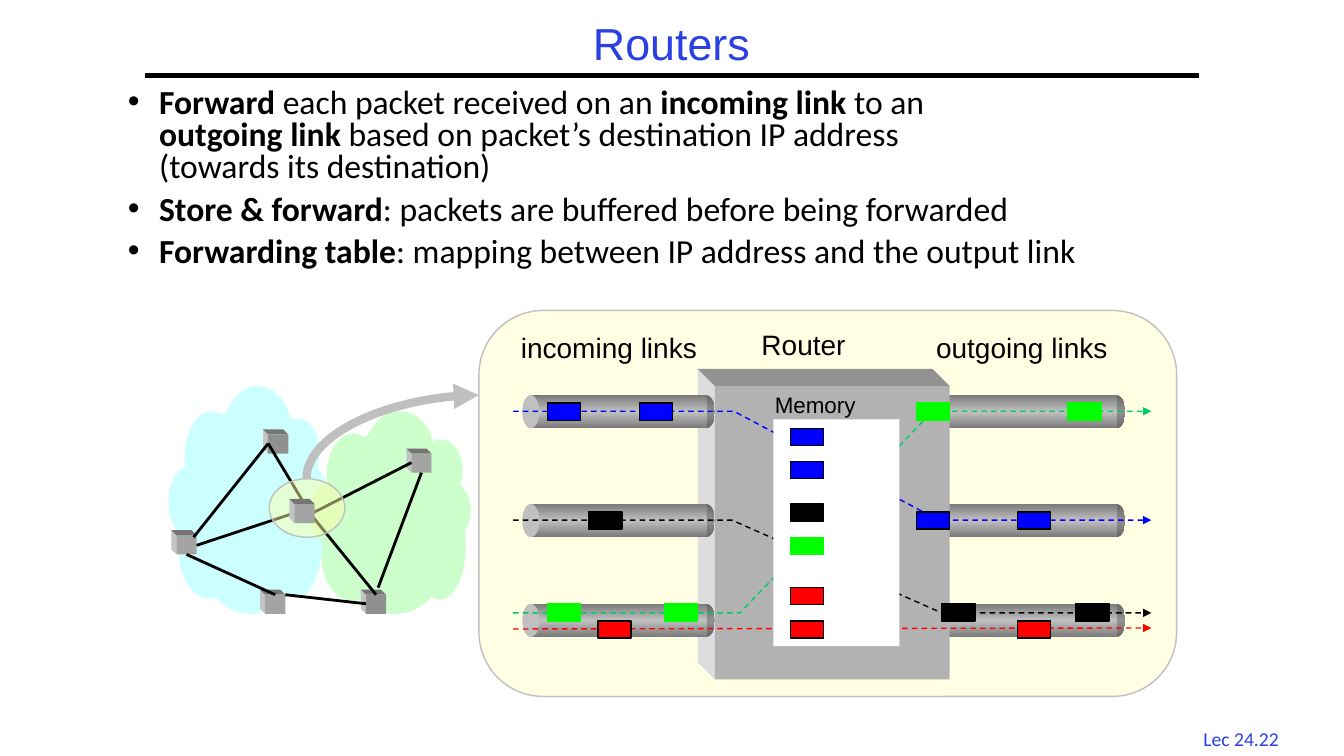
from copy import deepcopy

from lxml.etree import SubElement
from pptx import Presentation
from pptx.dml.color import RGBColor
from pptx.enum.dml import MSO_LINE
from pptx.enum.shapes import MSO_CONNECTOR, MSO_SHAPE
from pptx.enum.text import MSO_ANCHOR, PP_ALIGN
from pptx.oxml.ns import qn
from pptx.util import Inches, Pt

COLORS = {
    "accent": "2A40E2", "black": "000000", "white": "FFFFFF", "panel": "FFFFAA",
    "border": "BFBFBF", "blue": "0000FF", "lime": "00FF00", "green": "00CC66",
    "red": "FF0000", "west": "CCFFFF", "east": "CCFFCC", "pipe": "C0C0C0",
    "pipe_dark": "7A7A7A", "cap": "919191", "cap_dark": "676767",
    "front": "B2B2B2", "side": "DDDDDD", "top": "919191",
    "node": "A4A4A4", "node_dark": "909090", "node_side": "C4C4C4", "node_top": "757575",
}


def rgb(name):
    return RGBColor.from_string(COLORS[name])


def write_text(p, text, *, size, font="Arial", color="black", align=PP_ALIGN.LEFT, spacing=None):
    """Fill a paragraph; ** switches bold on and off, a newline breaks the line."""
    p.alignment = align
    if spacing:
        p.line_spacing = spacing
    for i, part in enumerate(text.split("**")):
        for j, piece in enumerate(part.split("\n")):
            if j:
                p.add_line_break()
            if piece:
                r = p.add_run()
                r.text = piece
                r.font.name, r.font.size, r.font.bold = font, Pt(size), i % 2 == 1
                r.font.color.rgb = rgb(color)


class SlideBuilder:
    def __init__(self, s):
        self.s = s

    def textbox(self, x, y, w, h, texts, *, inset=True, wrap=False, bullets=False,
                anchor=MSO_ANCHOR.TOP, **fmt):
        tf = self.s.shapes.add_textbox(Inches(x), Inches(y), Inches(w), Inches(h)).text_frame
        tf.word_wrap, tf.vertical_anchor = wrap, anchor
        if not inset:
            tf.margin_left = tf.margin_right = tf.margin_top = tf.margin_bottom = 0
        for i, text in enumerate(texts):
            p = tf.add_paragraph() if i else tf.paragraphs[0]
            write_text(p, text, **fmt)
            if bullets:
                p.space_before = Pt(7.2)
                pPr = p._p.get_or_add_pPr()
                pPr.set("marL", str(Inches(0.31)))
                pPr.set("indent", str(-Inches(0.31)))
                SubElement(pPr, qn("a:buFont")).set("typeface", "Arial")
                SubElement(pPr, qn("a:buChar")).set("char", "•")

    def paint(self, sp, fill=None, line=None, alpha=None):
        sp.shadow.inherit = False
        if fill:
            sp.fill.solid()
            sp.fill.fore_color.rgb = rgb(fill)
        else:
            sp.fill.background()
        if alpha:
            clr = sp._element.spPr.find(qn("a:solidFill"))[0]
            SubElement(clr, qn("a:alpha")).set("val", str(alpha * 1000))
        if line:
            self.stroke(sp, line, 1)
        else:
            sp.line.fill.background()
        return sp

    def stroke(self, sp, color, width, dash=False, arrow=None):
        """Style a line; arrow is None, headEnd or tailEnd."""
        sp.line.color.rgb, sp.line.width = rgb(color), Pt(width)
        if dash:
            sp.line.dash_style = MSO_LINE.DASH
        if arrow:
            ln = sp._element.spPr.find(qn("a:ln"))
            SubElement(ln, qn(f"a:{arrow}")).set("type", "triangle")

    def shape(self, kind, x, y, w, h, fill, line=None, alpha=None):
        sp = self.s.shapes.add_shape(kind, Inches(x), Inches(y), Inches(w), Inches(h))
        return self.paint(sp, fill, line, alpha)

    def gradient(self, kind, x, y, w, h, edge, middle):
        sp = self.shape(kind, x, y, w, h, middle)
        sp.fill.gradient()
        sp.fill.gradient_angle = 90
        stops = sp._element.spPr.find(qn("a:gradFill")).find(qn("a:gsLst"))
        stops.append(deepcopy(stops[0]))
        for stop, pos, color in zip(sp.fill.gradient_stops, (0, 0.5, 1), (edge, middle, edge)):
            stop.position, stop.color.rgb = pos, rgb(color)

    def outline(self, points, closed):
        pts = [(Inches(x), Inches(y)) for x, y in points]
        fb = self.s.shapes.build_freeform(*pts[0])
        fb.add_line_segments(pts[1:], close=closed)
        return fb.convert_to_shape()

    def connector(self, a, b, color, width, kind=MSO_CONNECTOR.STRAIGHT, **style):
        c = self.s.shapes.add_connector(kind, *map(Inches, (*a, *b)))
        self.stroke(c, color, width, **style)
        SubElement(c._element.spPr, qn("a:effectLst"))
        return c

    def route(self, points, color):
        sp = self.paint(self.outline(points, False))
        self.stroke(sp, color, 1, dash=True, arrow="tailEnd")

    def pipe(self, x, y):
        self.gradient(MSO_SHAPE.OVAL, x + 1.74, y, 0.17, 0.33, "cap_dark", "cap")
        self.gradient(MSO_SHAPE.RECTANGLE, x + 0.08, y, 1.75, 0.33, "pipe_dark", "pipe")
        self.shape(MSO_SHAPE.OVAL, x, y, 0.17, 0.33, "pipe")

    def box3d(self, x, y, w, h, depth, front, side, top):
        """Block seen with its left and top faces."""
        left, up = x - depth, y - depth
        self.paint(self.outline([(x, y), (left, up), (left, y + h - depth), (x, y + h)], True), side)
        self.paint(self.outline([(x, y), (left, up), (x + w - depth, up), (x + w, y)], True), top)
        self.shape(MSO_SHAPE.RECTANGLE, x, y, w, h, front)

    def node(self, x, y, front="node"):
        self.box3d(x, y, 0.2, 0.19, 0.05, front, "node_side", "node_top")

    def cloud(self, puffs, color):
        for puff in puffs:
            self.shape(MSO_SHAPE.OVAL, *puff, color)


PIPE_ROWS = (3.92, 5, 5.99)
ROUTES = [
    ("green", [(5.09, 6.08), (7.34, 6.08), (9.25, 4.08), (11.42, 4.08)]),
    ("blue", [(5.09, 4.08), (7.28, 4.08), (9.31, 5.16), (11.42, 5.16)]),
    ("black", [(5.09, 5.16), (7.26, 5.16), (9.34, 6.08), (11.42, 6.08)]),
]
PACKETS = {
    "blue": [(5.43, 4), (6.34, 4), (7.84, 4.25), (7.84, 4.58), (9.09, 5.08), (10.09, 5.08)],
    "black": [(5.84, 5.08), (7.84, 5), (9.34, 5.99), (10.67, 5.99)],
    "lime": [(5.43, 5.99), (6.59, 5.99), (7.84, 5.33), (9.09, 4), (10.59, 4)],
    "red": [(5.93, 6.16), (7.84, 6.16), (7.84, 5.83), (10.09, 6.16)],
}
WEST_CLOUD = [
    (2.21, 3.83, 0.69, 0.93), (1.83, 4.08, 0.53, 0.93), (1.67, 4.64, 0.36, 0.67),
    (1.77, 4.97, 0.61, 0.97), (2.02, 5.11, 0.94, 0.98), (2.74, 4.15, 0.43, 0.69),
    (2.74, 4.57, 0.51, 0.73), (2.69, 4.73, 0.51, 1.2), (1.78, 4.03, 1.4, 2.02),
]
EAST_CLOUD = [
    (3.62, 4.08, 0.69, 0.83), (3.24, 4.3, 0.53, 0.83), (3.08, 4.8, 0.36, 0.6),
    (3.19, 5.1, 0.61, 0.86), (3.44, 5.22, 0.94, 0.87), (4.16, 4.36, 0.43, 0.61),
    (4.16, 4.74, 0.51, 0.65), (4.11, 4.88, 0.51, 1.07), (3.19, 4.26, 1.4, 1.79),
]
NODES = [(4.08, 4.5), (3.63, 5.9, "node_dark"), (2.66, 4.31, "node_dark"), (1.75, 5.31), (2.63, 5.9)]
NETWORK_LINKS = [
    ((3.08, 5.1), (3.73, 5.9)), ((3.02, 5), (2.66, 4.4)), ((3.08, 5.1), (4.08, 4.59)),
    ((1.92, 5.33), (2.66, 4.4)), ((1.85, 5.5), (2.73, 5.9)), ((1.95, 5.41), (2.92, 5.09)),
    ((2.83, 5.9), (3.63, 5.99)), ((3.75, 5.83), (4.18, 4.69)),
]
BULLETS = [
    "**Forward** each packet received on an **incoming link **to an \n"
    "**outgoing link **based on packet’s destination IP address \n(towards its destination)",
    "**Store & forward**: packets are buffered before being forwarded",
    "**Forwarding table**: mapping between IP address and the output link",
]


def add_header(b):
    center = PP_ALIGN.CENTER
    b.textbox(11.77, 7.16, 1.08, 0.33, ["Lec 24.22"], size=14, font="Calibri",
              color="accent", align=center)
    b.connector((1.44, 0.75), (11.89, 0.75), "black", 3)
    b.textbox(1.44, 0.17, 10.44, 0.58, ["Routers"], wrap=True, anchor=MSO_ANCHOR.MIDDLE,
              size=32, color="accent", align=center, spacing=0.9)
    b.textbox(1.17, 0.83, 11, 2.01, BULLETS, wrap=True, bullets=True, size=24,
              font="Calibri", spacing=0.8)


def add_router(b):
    label = {"inset": False, "size": 20, "align": PP_ALIGN.CENTER}
    b.shape(MSO_SHAPE.ROUNDED_RECTANGLE, 4.75, 3.08, 6.92, 3.83, "panel", "border", 32)
    for y in PIPE_ROWS:
        b.pipe(9.25, y)
    b.box3d(7.09, 3.83, 2.33, 2.91, 0.17, "front", "side", "top")
    for y in PIPE_ROWS:
        b.pipe(5.18, y)
    b.textbox(5.16, 3.28, 1.76, 0.34, ["incoming links"], **label)
    b.textbox(9.28, 3.28, 1.71, 0.34, ["outgoing links"], **label)
    b.textbox(7.55, 3.25, 0.84, 0.34, ["Router"], **label)
    b.connector((5.09, 6.24), (11.42, 6.23), "red", 1, dash=True, arrow="tailEnd")
    for color, points in ROUTES:
        b.route(points, color)
    b.shape(MSO_SHAPE.RECTANGLE, 7.67, 4.16, 1.25, 2.25, "white")
    for color, spots in PACKETS.items():
        for x, y in spots:
            b.shape(MSO_SHAPE.RECTANGLE, x, y, 0.33, 0.17, color,
                    "lime" if color == "lime" else "black")
    b.textbox(7.58, 3.83, 1.01, 0.37, ["Memory"], size=16, align=PP_ALIGN.CENTER)


def add_network(b):
    b.cloud(WEST_CLOUD, "west")
    b.cloud(EAST_CLOUD, "east")
    for node in NODES:
        b.node(*node)
    for start, end in NETWORK_LINKS:
        b.connector(start, end, "black", 2)
    b.shape(MSO_SHAPE.OVAL, 2.67, 4.75, 0.75, 0.58, "panel", "border", 49)
    b.node(2.92, 5)
    zoom = b.connector((4.75, 3.92), (3.04, 4.75), "border", 6, MSO_CONNECTOR.CURVE, arrow="headEnd")
    zoom._element.spPr.find(qn("a:prstGeom")).set("prst", "curvedConnector2")


def main():
    prs = Presentation()
    prs.slide_width, prs.slide_height = Inches(13.33), Inches(7.5)
    b = SlideBuilder(prs.slides.add_slide(prs.slide_layouts[6]))
    add_header(b)
    add_router(b)
    add_network(b)
    prs.save("out.pptx")


if __name__ == "__main__":
    main()
